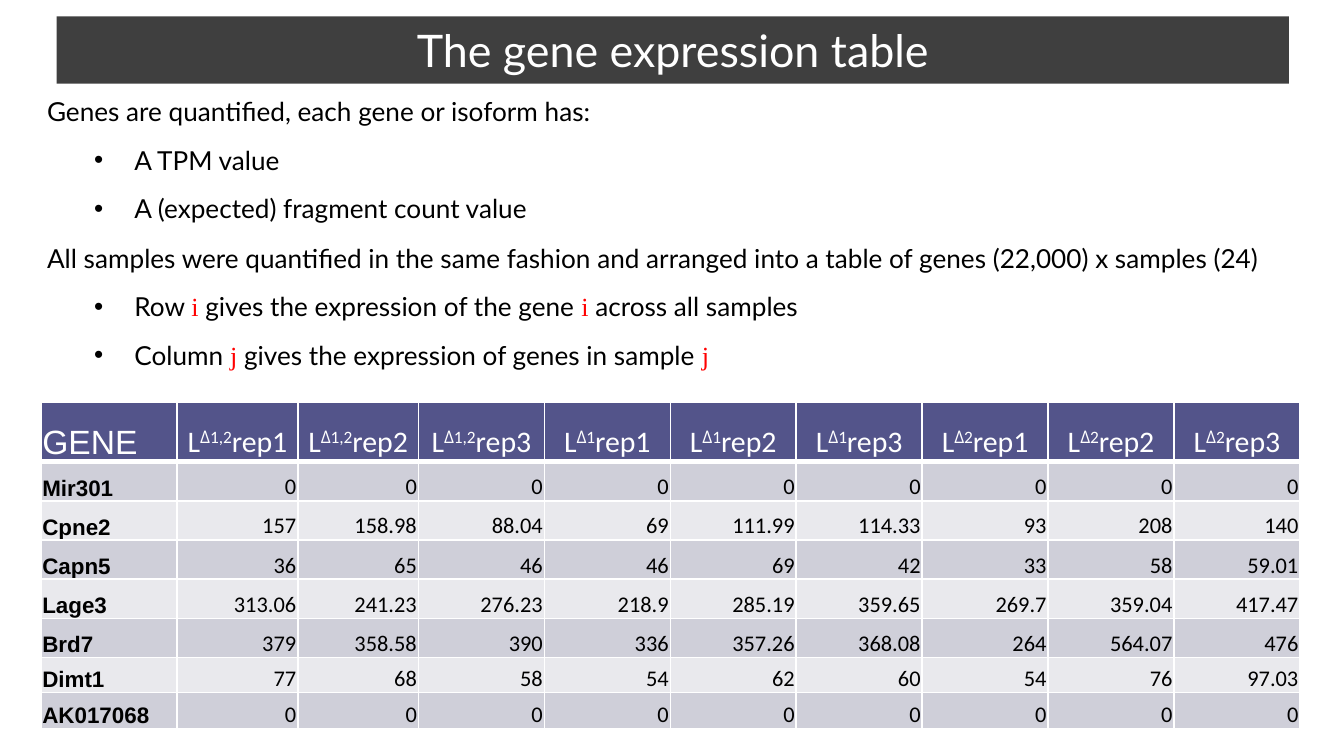
from lxml.etree import SubElement
from pptx import Presentation
from pptx.dml.color import RGBColor
from pptx.enum.shapes import MSO_SHAPE
from pptx.enum.text import MSO_ANCHOR, PP_ALIGN
from pptx.oxml.ns import qn
from pptx.util import Cm, Pt

COLORS = {
    "white": "FFFFFF", "black": "000000", "red": "FF0000", "banner": "3F3F3F",
    "header": "53548A", "odd": "CFCFD9", "even": "E9E9ED",
}
BODY = [
    (0, "Genes are quantified, each gene or isoform has:"),
    (1, "A TPM value"),
    (1, "A (expected) fragment count value"),
    (0, "All samples were quantified in the same fashion and arranged into a table of genes (22,000) x samples (24)"),
    (1, "Row |i| gives the expression of the gene |i| across all samples"),
    (1, "Column |j| gives the expression of genes in sample |j"),
]
GENES = [
    ("Mir301", *["0"] * 9),
    ("Cpne2", "157", "158.98", "88.04", "69", "111.99", "114.33", "93", "208", "140"),
    ("Capn5", "36", "65", "46", "46", "69", "42", "33", "58", "59.01"),
    ("Lage3", "313.06", "241.23", "276.23", "218.9", "285.19", "359.65", "269.7", "359.04", "417.47"),
    ("Brd7", "379", "358.58", "390", "336", "357.26", "368.08", "264", "564.07", "476"),
    ("Dimt1", "77", "68", "58", "54", "62", "60", "54", "76", "97.03"),
    ("AK017068", *["0"] * 9),
]
SAMPLES = [(line, f"rep{n}") for line in ("1,2", "1", "2") for n in (1, 2, 3)]
COL_WIDTHS = [2.58] + [2.28] * 2 + [2.38] * 7
ROW_HEIGHTS = [1.12] + [0.74] * 5 + [0.66, 0.68]


def add_run(p, text, size, font, color, bold=False, baseline=0):
    r = p.add_run()
    r.text = text
    for key, value in {"size": Pt(size), "name": font, "bold": bold}.items():
        setattr(r.font, key, value)
    r.font.color.rgb = RGBColor.from_string(COLORS[color])
    if baseline:
        r.font._element.set("baseline", str(baseline))


def add_border(cell, side, width):
    ln = SubElement(cell._tc.get_or_add_tcPr(), qn(f"a:ln{side}"), w=str(Pt(width)))
    fill = SubElement(ln, qn("a:solidFill"))
    SubElement(fill, qn("a:srgbClr"), val=COLORS["white"])


prs = Presentation()
prs.slide_width, prs.slide_height = Cm(25.4), Cm(14.28)
s = prs.slides.add_slide(prs.slide_layouts[6])

tf = s.shapes.add_textbox(Cm(0.64), Cm(1.68), Cm(24.23), Cm(5.92)).text_frame
tf.word_wrap = True
for i, (level, text) in enumerate(BODY):
    p = tf.add_paragraph() if i else tf.paragraphs[0]
    p.level = level
    if i:
        p.space_before = Pt(9.2 if level else 9.6)
    if level:
        pPr = p._p.get_or_add_pPr()
        pPr.set("marL", str(Cm(1.65)))
        pPr.set("indent", str(Cm(-0.76)))
        color = SubElement(pPr, qn("a:buClr"))
        SubElement(color, qn("a:srgbClr"), val=COLORS["black"])
        SubElement(pPr, qn("a:buFont"), typeface="Arial")
        SubElement(pPr, qn("a:buChar"), char="•")
    for n, part in enumerate(text.split("|")):
        font, color = ("Times New Roman", "red") if n % 2 else ("Lato", "black")
        add_run(p, part, 14, font, color)

sp = s.shapes.add_shape(MSO_SHAPE.RECTANGLE, Cm(1.07), Cm(0.31), Cm(23.29), Cm(1.27))
sp.shadow.inherit = False
sp.fill.solid()
sp.fill.fore_color.rgb = RGBColor.from_string(COLORS["banner"])
sp.line.fill.background()
tf = sp.text_frame
tf.vertical_anchor = MSO_ANCHOR.MIDDLE
p = tf.paragraphs[0]
p.alignment = PP_ALIGN.CENTER
add_run(p, "The gene expression table", 24, "Lato", "white")

table = s.shapes.add_table(
    len(ROW_HEIGHTS), len(COL_WIDTHS), Cm(0.77), Cm(7.6),
    Cm(sum(COL_WIDTHS)), Cm(sum(ROW_HEIGHTS)),
).table
for col, width in zip(table.columns, COL_WIDTHS):
    col.width = Cm(width)
for row, height in zip(table.rows, ROW_HEIGHTS):
    row.height = Cm(height)

cell_format = {
    "vertical_anchor": MSO_ANCHOR.BOTTOM, "margin_left": Cm(0.03),
    "margin_top": Cm(0.03), "margin_right": Cm(0.03), "margin_bottom": 0,
}
for i, row in enumerate([("GENE", *SAMPLES)] + GENES):
    for j, value in enumerate(row):
        cell = table.cell(i, j)
        for key, setting in cell_format.items():
            setattr(cell, key, setting)
        for side in "LRTB":
            add_border(cell, side, 3 if (i, side) in ((0, "B"), (1, "T")) else 1)
        cell.fill.solid()
        band = "header" if i == 0 else "odd" if i % 2 else "even"
        cell.fill.fore_color.rgb = RGBColor.from_string(COLORS[band])
        p = cell.text_frame.paragraphs[0]
        if j:
            p.alignment = PP_ALIGN.RIGHT if i else PP_ALIGN.CENTER
        if i and j:
            add_run(p, value, 12, "Calibri", "black")
        elif i:
            add_run(p, value, 12, "Arial", "black", bold=True)
        elif j:
            line, rep = value
            add_run(p, "L", 16, "Calibri", "white")
            add_run(p, "Δ", 16, "Open Sans", "white", baseline=30000)
            add_run(p, line, 16, "Calibri", "white", baseline=30000)
            add_run(p, rep, 16, "Calibri", "white")
        else:
            add_run(p, value, 18, "Arial", "white")

prs.save("out.pptx")
